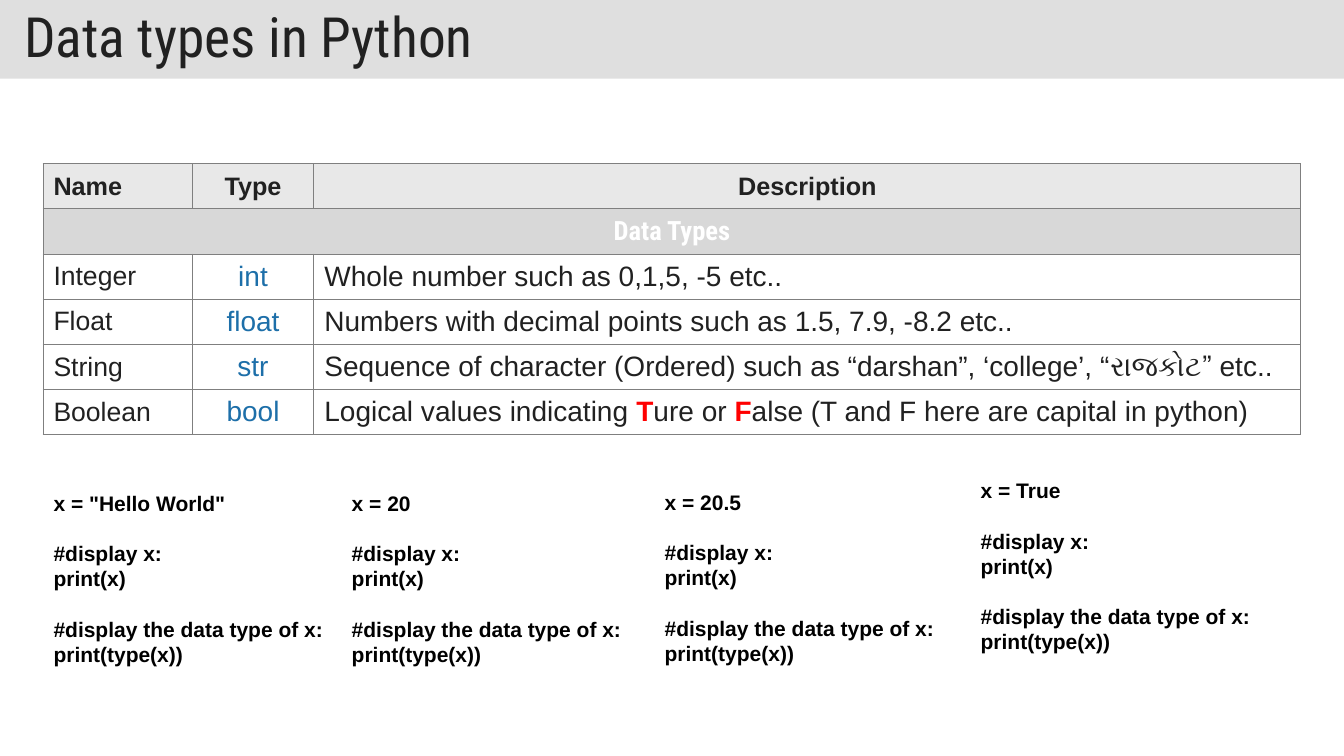
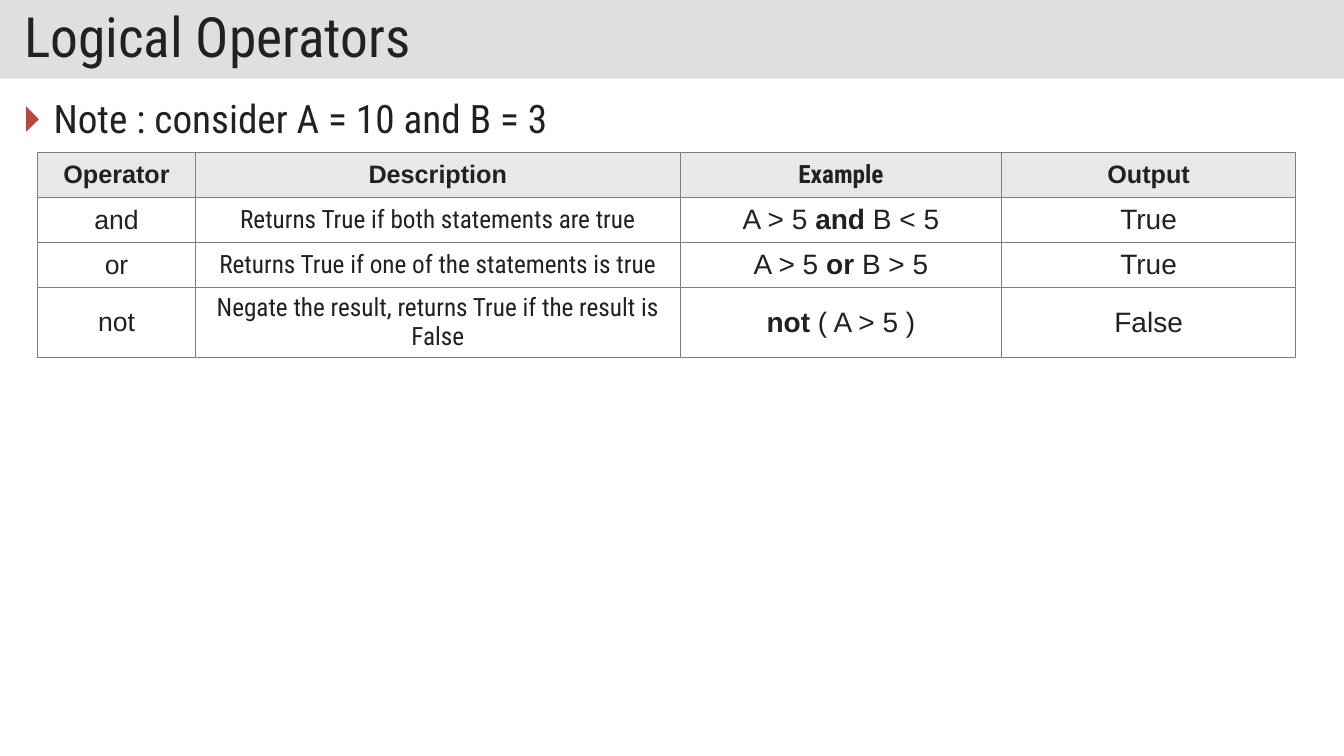
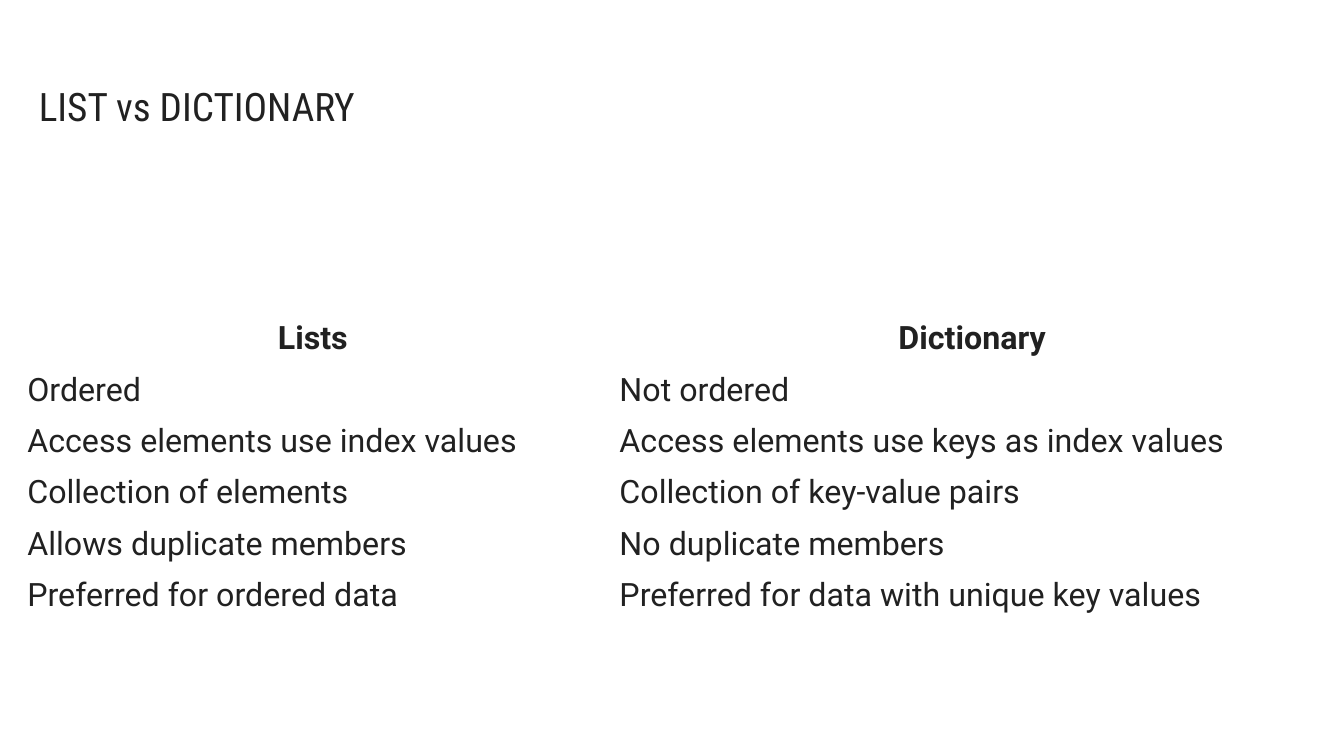
from lxml import etree
from pptx import Presentation
from pptx.dml.color import RGBColor
from pptx.enum.text import MSO_ANCHOR, MSO_AUTO_SIZE, PP_ALIGN
from pptx.oxml.ns import qn
from pptx.util import Emu, Pt

LEFT, CENTER, JUSTIFY = PP_ALIGN.LEFT, PP_ALIGN.CENTER, PP_ALIGN.JUSTIFY
TOP, MIDDLE = MSO_ANCHOR.TOP, MSO_ANCHOR.MIDDLE
NO_AUTOFIT = MSO_AUTO_SIZE.NONE

ARIAL, ROBOTO, CONDENSED = "Arial", "Roboto", "Roboto Condensed"
INK, WHITE, BLACK, BLUE, RED = "212121", "FFFFFF", "000000", "1D6FA9", "FF0000"
BAND, HEADER_FILL, SECTION_FILL = "C0C0C0", "E8E8E8", "D8D8D8"
GRID, BULLET = "7F7F7F", "B84742"
WIDTH, HEIGHT = 1280, 720
TITLE_ONLY, TITLE_AND_CONTENT = 5, 1


def px(length):
    return Emu(length * 9525)


def color(value):
    return RGBColor.from_string(value)


def style(font=ARIAL, size=18, ink=INK, bold=False, align=LEFT):
    return {"font": font, "size": size, "ink": ink, "bold": bold, "align": align}


def write(paragraph, content, look):
    """Fill a paragraph from a string or a list of (text, style changes)."""
    runs = [(content, {})] if isinstance(content, str) else content
    paragraph.alignment = look["align"]
    for text, changes in runs:
        run_look = {**look, **changes}
        run = paragraph.add_run()
        run.text = text
        run.font.name = run_look["font"]
        run.font.size = Pt(run_look["size"])
        run.font.bold = run_look["bold"]
        run.font.color.rgb = color(run_look["ink"])


class Deck:
    def __init__(self):
        self.presentation = Presentation()
        self.presentation.slide_width = px(WIDTH)
        self.presentation.slide_height = px(HEIGHT)
        self.slide = None

    def new_slide(self, layout):
        layouts = self.presentation.slide_layouts
        self.slide = self.presentation.slides.add_slide(layouts[layout])

    def frame(self, shape, box, insets, anchor=TOP):
        """Place a text shape and return its prepared text frame."""
        shape.left, shape.top, shape.width, shape.height = map(px, box)
        text_frame = shape.text_frame
        text_frame.word_wrap = True
        text_frame.auto_size = NO_AUTOFIT
        text_frame.vertical_anchor = anchor
        text_frame.margin_left = text_frame.margin_right = px(insets[0])
        text_frame.margin_top = text_frame.margin_bottom = px(insets[1])
        return text_frame

    def band_title(self, text):
        shape = self.slide.shapes.title
        text_frame = self.frame(shape, (0, 0, WIDTH, 75), (23, 12), MIDDLE)
        shape.fill.solid()
        shape.fill.fore_color.rgb = color(BAND)
        srgb = shape.fill._xPr.find(".//" + qn("a:srgbClr"))
        etree.SubElement(srgb, qn("a:alpha"), val="50000")
        paragraph = text_frame.paragraphs[0]
        paragraph.line_spacing = 0.9
        write(paragraph, text, style(CONDENSED, 39.6))

    def plain_title(self, text, box):
        text_frame = self.frame(self.slide.shapes.title, box, (10, 10))
        write(text_frame.paragraphs[0], text, style(CONDENSED, 28))

    def bullet_body(self, text, box):
        text_frame = self.frame(self.slide.placeholders[1], box, (10, 5))
        paragraph = text_frame.paragraphs[0]
        paragraph.line_spacing = 0.9
        paragraph.space_before = Pt(0)
        properties = paragraph._p.get_or_add_pPr()
        properties.set("marL", str(px(28)))
        properties.set("indent", str(px(-28)))
        bullet_color = etree.SubElement(properties, qn("a:buClr"))
        etree.SubElement(bullet_color, qn("a:srgbClr"), val=BULLET)
        etree.SubElement(properties, qn("a:buChar"), char="🞂")
        write(paragraph, text, style(CONDENSED, 28, align=JUSTIFY))

    def code(self, blocks, box):
        """Write code lines, with one line of space between blocks."""
        shape = self.slide.shapes.add_textbox(*map(px, box))
        text_frame = self.frame(shape, box, (10, 10))
        paragraph = text_frame.paragraphs[0]
        for block_index, block in enumerate(blocks):
            for line_index, line in enumerate(block):
                if block_index or line_index:
                    paragraph = text_frame.add_paragraph()
                starts_block = block_index and not line_index
                paragraph.space_before = Pt(18 if starts_block else 0)
                paragraph.line_spacing = Pt(18)
                write(paragraph, line, style(size=15, ink=BLACK, bold=True))

    def cell(self, cell, content, look, fill, insets, border, indent):
        cell.vertical_anchor = MIDDLE
        cell.margin_left = cell.margin_right = px(insets[0])
        cell.margin_top = cell.margin_bottom = px(insets[1])
        properties = cell._tc.get_or_add_tcPr()
        for side in ("a:lnL", "a:lnR", "a:lnT", "a:lnB"):
            line = etree.SubElement(properties, qn(side), w=str(Pt(0.75)))
            if border:
                solid = etree.SubElement(line, qn("a:solidFill"))
                etree.SubElement(solid, qn("a:srgbClr"), val=border)
            else:
                etree.SubElement(line, qn("a:noFill"))
        cell.fill.solid()
        cell.fill.fore_color.rgb = color(fill)
        if content:
            paragraph = cell.text_frame.paragraphs[0]
            if indent:
                paragraph._p.get_or_add_pPr().set("marL", str(px(indent)))
            write(paragraph, content, look)

    def table(self, corner, widths, heights, rows, header, columns,
              header_fill=HEADER_FILL, insets=(10, 5), border=GRID, indent=0):
        """Draw a table; a row with a single cell spans all columns."""
        graphic = self.slide.shapes.add_table(
            len(rows), len(widths), *map(px, (*corner, sum(widths), sum(heights))))
        table = graphic.table
        table.first_row = table.horz_banding = False
        for column, width in zip(table.columns, widths):
            column.width = px(width)
        for row, height in zip(table.rows, heights):
            row.height = px(height)
        section = style(CONDENSED, 19, WHITE, True, CENTER)
        for row_index, contents in enumerate(rows):
            looks, fill = (columns, WHITE) if row_index else (header, header_fill)
            if len(contents) == 1:
                looks, fill = [section] * len(widths), SECTION_FILL
                contents = contents + [""] * (len(widths) - 1)
                table.cell(row_index, 0).merge(
                    table.cell(row_index, len(widths) - 1))
            for column_index, content in enumerate(contents):
                self.cell(table.cell(row_index, column_index), content,
                          looks[column_index], fill, insets, border, indent)


def data_types_slide(deck):
    deck.new_slide(TITLE_ONLY)
    deck.band_title("Data types in Python")
    capital = {"ink": RED, "bold": True}
    head = style(bold=True, align=CENTER)
    deck.table(
        (41, 156), (142, 116, 940), [43] * 6,
        [["Name", "Type", "Description"],
         ["Data Types"],
         ["Integer", "int", "Whole number such as 0,1,5, -5 etc.."],
         ["Float", "float",
          "Numbers with decimal points such as 1.5, 7.9, -8.2 etc.."],
         ["String", "str", "Sequence of character (Ordered) such as "
          "“darshan”, ‘college’, “રાજકોટ” etc.."],
         ["Boolean", "bool",
          [("Logical values indicating ", {}), ("T", capital), ("ure or ", {}),
           ("F", capital), ("alse (T and F here are capital in python)", {})]]],
        header=[style(bold=True), head, head],
        columns=[style(size=19), style(size=20, ink=BLUE, align=CENTER),
                 style(size=20)])

    # Code samples
    samples = [('"Hello World"', 41, 457), ("20", 325, 457),
               ("20.5", 623, 456), ("True", 924, 445)]
    for value, left, top in samples:
        deck.code([[f"x = {value}"],
                   ["#display x:", "print(x)"],
                   ["#display the data type of x:", "print(type(x))"]],
                  (left, top, 315, 212))


def logical_operators_slide(deck):
    deck.new_slide(TITLE_AND_CONTENT)
    deck.band_title("Logical Operators")
    deck.bullet_body("Note : consider A = 10 and B = 3", (13, 90, 1253, 587))
    strong = {"bold": True}
    head = style(bold=True, align=CENTER)
    value = style(size=20, align=CENTER)
    deck.table(
        (36, 145), (150, 462, 306, 280), (43, 43, 43, 66),
        [["Operator", "Description", "Example", "Output"],
         ["and", "Returns True if both statements are true",
          [("A > 5 ", {}), ("and", strong), (" B < 5", {})], "True"],
         ["or", "Returns True if one of the statements is true",
          [("A > 5 ", {}), ("or", strong), (" B > 5", {})], "True"],
         ["not", "Negate the result, returns True if the result is False",
          [("not", strong), (" ( A > 5 )", {})], "False"]],
        header=[head, head, {**head, "font": CONDENSED}, head],
        columns=[style(size=19, align=CENTER), style(CONDENSED, align=CENTER),
                 value, value])


def list_dictionary_slide(deck):
    deck.new_slide(TITLE_ONLY)
    deck.plain_title("LIST vs DICTIONARY", (27, 68, 955, 108))
    deck.table(
        (12, 298), (564, 692), [49] * 6,
        [["Lists", "Dictionary"],
         ["Ordered", "Not ordered"],
         ["Access elements use index values",
          "Access elements use keys as index values"],
         ["Collection of elements", "Collection of key-value pairs"],
         ["Allows duplicate members", "No duplicate members"],
         ["Preferred for ordered data",
          "Preferred for data with unique key values"]],
        header=[style(ROBOTO, 23, bold=True, align=CENTER)] * 2,
        columns=[style(ROBOTO, 23)] * 2,
        header_fill=WHITE, insets=(6, 6), border=None, indent=8)


def main():
    deck = Deck()
    data_types_slide(deck)
    logical_operators_slide(deck)
    list_dictionary_slide(deck)
    deck.presentation.save("out.pptx")


if __name__ == "__main__":
    main()
